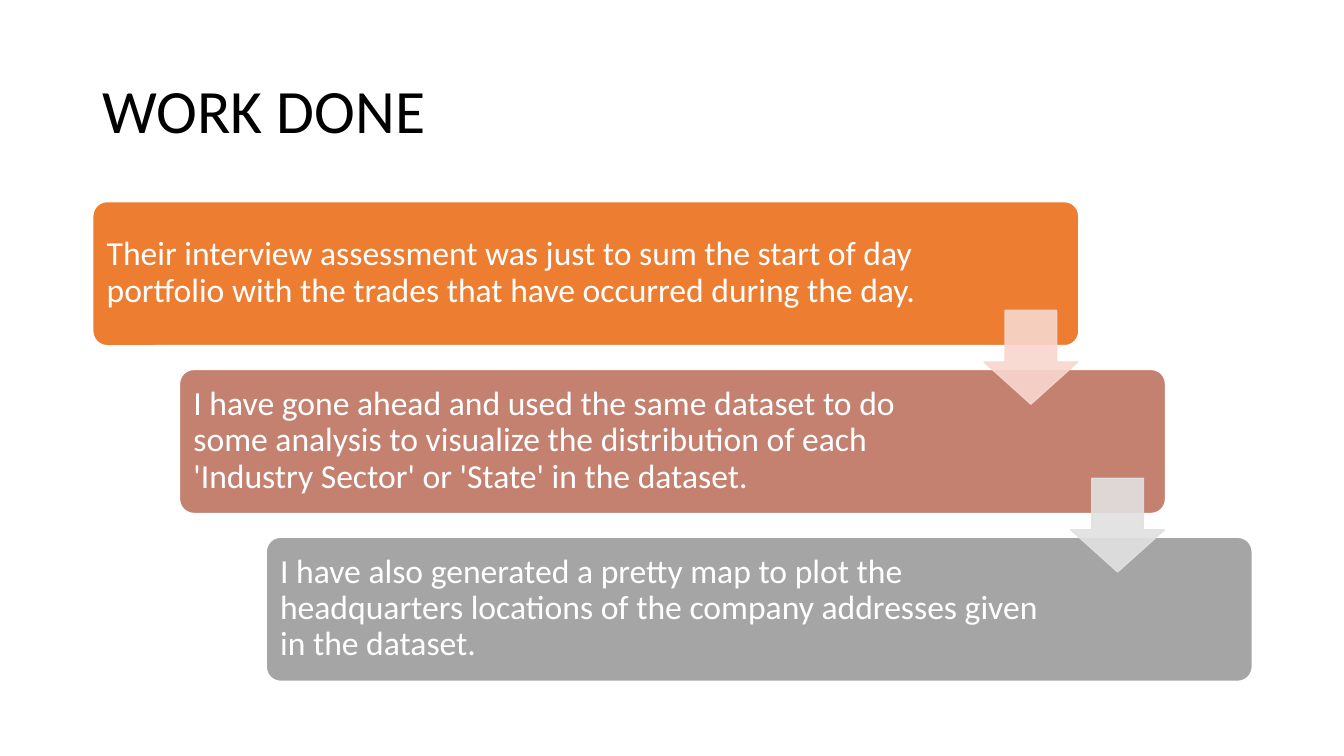
from lxml import etree
from pptx import Presentation
from pptx.dml.color import RGBColor
from pptx.enum.shapes import MSO_SHAPE as SHAPE
from pptx.enum.text import MSO_ANCHOR as ANCHOR
from pptx.oxml.ns import qn
from pptx.util import Inches, Pt

COLORS = {
    "black": "000000",
    "white": "FFFFFF",
    "orange": "ED7D31",
    "clay": "C48170",
    "gray": "A5A5A5",
    "pink": "F8D7CE",
    "silver": "E1E1E1",
}
STEPS = [
    ("orange", 8.23, "Their interview assessment was just to sum the start of day "
     "portfolio with the trades that have occurred during the day."),
    ("clay", 7.9, "I have gone ahead and used the same dataset to do some analysis to "
     "visualize the distribution of each 'Industry Sector' or 'State' in the dataset."),
    ("gray", 7.9, "I have also generated a pretty map to plot the headquarters "
     "locations of the company addresses given in the dataset."),
]
LEFT, TOP = 0.92, 2
STEP_X, STEP_Y = 0.86, 3.33 / 2


def add_text(slide, box, text, size, color, inset_y):
    tb = slide.shapes.add_textbox(*map(Inches, box))
    tf = tb.text_frame
    tf.word_wrap = True
    tf.vertical_anchor = ANCHOR.MIDDLE
    tf.margin_left = tf.margin_right = Inches(0.1)
    tf.margin_top = tf.margin_bottom = Inches(inset_y)
    p = tf.paragraphs[0]
    p.text = text
    p.line_spacing = 0.9
    p.font.name = "Calibri"
    p.font.size = Pt(size)
    p.font.color.rgb = RGBColor.from_string(COLORS[color])


def add_block(slide, kind, box, adjustments, fill, line):
    sp = slide.shapes.add_shape(kind, *map(Inches, box))
    sp.shadow.inherit = False
    for i, value in enumerate(adjustments):
        sp.adjustments[i] = value
    sp.fill.solid()
    sp.fill.fore_color.rgb = RGBColor.from_string(COLORS[fill])
    sp.line.color.rgb = RGBColor.from_string(COLORS[line])
    sp.line.width = Pt(1)
    return sp


prs = Presentation()
prs.slide_width = Inches(13.33)
prs.slide_height = Inches(7.5)
s = prs.slides.add_slide(prs.slide_layouts[6])

add_text(s, (LEFT, 0.4, 11.5, 1.45), "WORK DONE", 44, "black", 0.05)

for i, (fill, text_width, text) in enumerate(STEPS):
    x, y = LEFT + i * STEP_X, TOP + i * STEP_Y
    add_block(s, SHAPE.ROUNDED_RECTANGLE, (x, y, 9.78, 1.43), [0.1], fill, "white")
    add_text(s, (x + 0.04, y + 0.04, text_width, 1.34), text, 24, "white", 0.1)

for i, color in enumerate(["pink", "silver"]):
    box = (9.76 + i * STEP_X, 3.08 + i * STEP_Y, 0.93, 0.93)
    arrow = add_block(s, SHAPE.DOWN_ARROW, box, [0.55, 0.45], color, color)
    for clr in arrow.element.spPr.iter(qn("a:srgbClr")):
        etree.SubElement(clr, qn("a:alpha"), val="90000")

prs.save("out.pptx")
